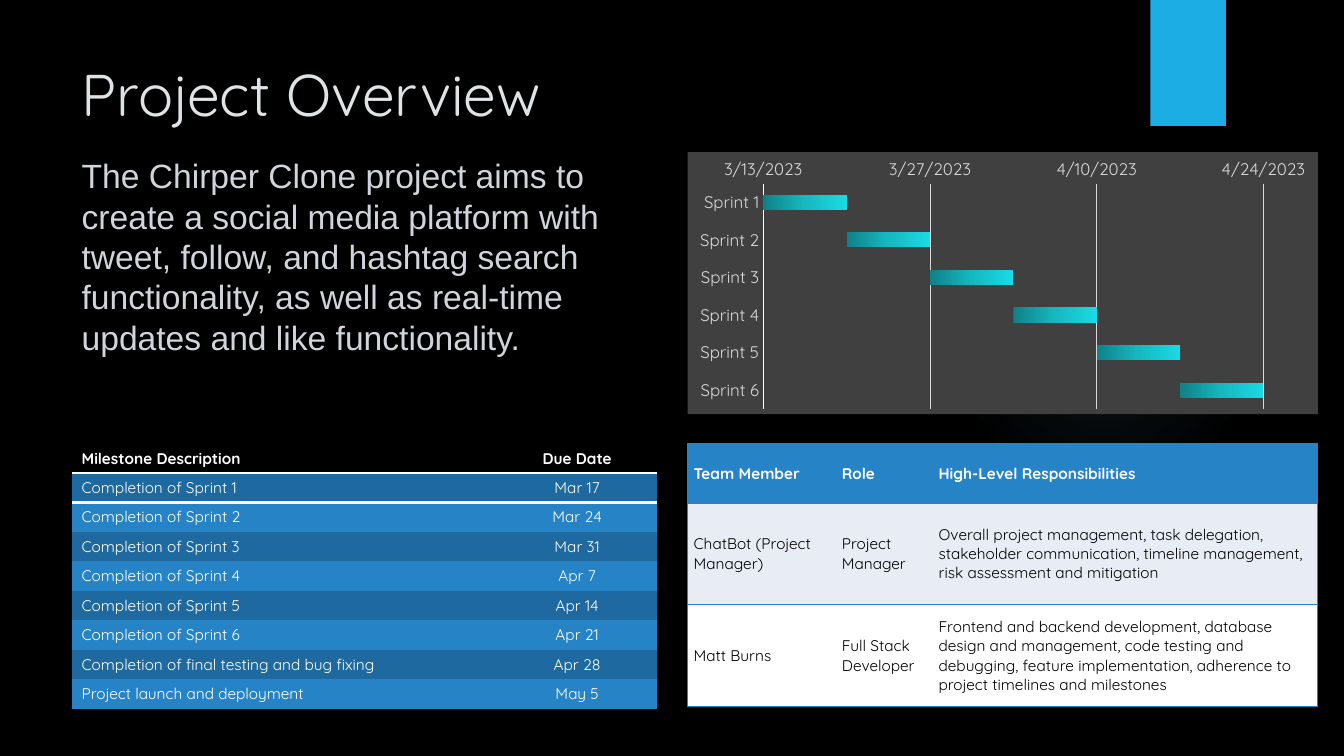
"""Build the project overview slide: goal, sprint timeline, milestones and team."""
import lxml.etree
import pptx
import pptx.chart.data
import pptx.dml.color
import pptx.enum.chart
import pptx.enum.shapes
import pptx.enum.text
import pptx.oxml
import pptx.oxml.ns
import pptx.util

COLORS = {
    name: pptx.dml.color.RGBColor.from_string(value)
    for name, value in {
        "black": "000000", "white": "FFFFFF", "title": "DFE3E5", "body": "D1D5DB",
        "accent": "1CADE4", "glow": "70A1C0", "panel": "404040", "axis": "D9D9D9",
        "blue": "2683C6", "deep blue": "1E699F", "pale blue": "E8EDF5",
        "bar start": "0F8187", "bar middle": "16B8C0", "bar end": "1ADAE4",
    }.items()
}
FONT = "Quicksand"
NO_GRID_STYLE = "{2D5ABB26-0587-4C30-8999-92F81FD0307C}"
GRID = pptx.util.Inches(0.1)
LEFT, LEFT_WIDTH = 7.1 * GRID, 58.1 * GRID
RIGHT, RIGHT_WIDTH = 68.2 * GRID, 62.5 * GRID
TABLE_TOP, TABLE_HEIGHT = 44 * GRID, 26.1 * GRID


def set_gradient(properties, stops, direction):
    """Replace the empty fill with a gradient of (position, color, opacity) stops."""
    stop_xml = "".join(
        f'<a:gs pos="{position * 1000}"><a:srgbClr val="{COLORS[color]}">'
        f'<a:alpha val="{opacity * 1000}"/></a:srgbClr></a:gs>'
        for position, color, opacity in stops
    )
    gradient = pptx.oxml.parse_xml(
        f'<a:gradFill {pptx.oxml.ns.nsdecls("a")} rotWithShape="1">'
        f"<a:gsLst>{stop_xml}</a:gsLst>{direction}</a:gradFill>"
    )
    empty = properties.find(pptx.oxml.ns.qn("a:noFill"))
    properties.replace(empty, gradient)


def add_grid_table(rows, left, widths, heights, fills, inks, borders, margins, centred):
    """Add a table; borders maps a row to its (sides, color, points)."""
    table = slide.shapes.add_table(
        len(rows), len(widths), round(left), round(TABLE_TOP),
        round(sum(widths)), round(sum(heights)),
    ).table
    table._tbl.tblPr.find(pptx.oxml.ns.qn("a:tableStyleId")).text = NO_GRID_STYLE
    for column, width in zip(table.columns, widths):
        column.width = round(width)
    for r, (texts, height) in enumerate(zip(rows, heights)):
        table.rows[r].height = round(height)
        for c, text in enumerate(texts):
            cell = table.cell(r, c)
            cell.margin_left = cell.margin_right = pptx.util.Inches(margins[0])
            cell.margin_top = cell.margin_bottom = pptx.util.Inches(margins[1])
            cell.vertical_anchor = pptx.enum.text.MSO_ANCHOR.MIDDLE
            sides, color, points = borders.get(r, ("", "white", 0))
            for side in sides:
                if (side == "L" and c > 0) or (side == "R" and c < len(widths) - 1):
                    continue
                cell._tc.get_or_add_tcPr().append(pptx.oxml.parse_xml(
                    f'<a:ln{side} {pptx.oxml.ns.nsdecls("a")} w="{pptx.util.Pt(points)}">'
                    f'<a:solidFill><a:srgbClr val="{COLORS[color]}"/></a:solidFill></a:ln{side}>'
                ))
            cell.fill.solid()
            cell.fill.fore_color.rgb = COLORS[fills[r]]
            cell.text_frame.text = text
            paragraph = cell.text_frame.paragraphs[0]
            if c in centred:
                paragraph.alignment = pptx.enum.text.PP_ALIGN.CENTER
            font = paragraph.runs[0].font
            font.name, font.size, font.bold = FONT, pptx.util.Pt(11), r == 0
            font.color.rgb = COLORS[inks[r]]
    return table


deck = pptx.Presentation()
deck.slide_width, deck.slide_height = pptx.util.Inches(13.33), pptx.util.Inches(7.5)
slide = deck.slides.add_slide(deck.slide_layouts[1])
slide.background.fill.solid()
slide.background.fill.fore_color.rgb = COLORS["black"]

glow = slide.shapes.add_shape(
    pptx.enum.shapes.MSO_SHAPE.OVAL,
    round(94.1 * GRID), round(18.3 * GRID), round(30.8 * GRID), round(30.8 * GRID),
)
glow.fill.background()
set_gradient(
    glow._element.spPr, [(0, "glow", 7), (36, "glow", 6), (69, "glow", 0)],
    '<a:path path="circle"><a:fillToRect l="50000" t="50000" r="50000" b="50000"/></a:path>',
)
ribbon = slide.shapes.add_shape(
    pptx.enum.shapes.MSO_SHAPE.RECTANGLE,
    round(114.1 * GRID), 0, round(7.5 * GRID), round(12.5 * GRID),
)
ribbon.fill.solid()
ribbon.fill.fore_color.rgb = COLORS["accent"]
for decoration in (glow, ribbon):
    decoration.line.fill.background()
    decoration.shadow.inherit = False

goal = (
    "The Chirper Clone project aims to create a social media platform with tweet, follow, "
    "and hashtag search functionality, as well as real-time updates and like functionality."
)
for placeholder, text, top, width, height, face, size, color, anchor in (
    (slide.shapes.title, "Project Overview", 5, 102.9 * GRID, 8.5, FONT, 42, "title", "MIDDLE"),
    (slide.placeholders[1], goal, 14.9, LEFT_WIDTH, 26.1, "Arial", 24, "body", "TOP"),
):
    placeholder.left, placeholder.top = round(LEFT), round(top * GRID)
    placeholder.width, placeholder.height = round(width), round(height * GRID)
    frame = placeholder.text_frame
    frame.text = text
    frame.word_wrap = True
    frame.auto_size = pptx.enum.text.MSO_AUTO_SIZE.NONE
    frame.vertical_anchor = pptx.enum.text.MSO_ANCHOR[anchor]
    paragraph = frame.paragraphs[0]
    paragraph.alignment = pptx.enum.text.PP_ALIGN.LEFT
    font = paragraph.runs[0].font
    font.name, font.size = face, pptx.util.Pt(size)
    font.color.rgb = COLORS[color]

goal_paragraph = slide.placeholders[1].text_frame.paragraphs[0]
goal_paragraph.space_before = pptx.util.Pt(10)
goal_paragraph.line_spacing = pptx.util.Pt(28.8)
goal_properties = goal_paragraph._p.get_or_add_pPr()
goal_properties.set("marL", "0")
goal_properties.set("indent", "0")
lxml.etree.SubElement(goal_properties, pptx.oxml.ns.qn("a:buNone"))

first_day, sprint_days, sprint_count = 44998, 7, 6
timeline = pptx.chart.data.CategoryChartData()
timeline.categories = [f"Sprint {n + 1}" for n in range(sprint_count)]
timeline.add_series("Series 1", [first_day + sprint_days * n for n in range(sprint_count)])
timeline.add_series("Series 2", [sprint_days] * sprint_count)
gantt = slide.shapes.add_chart(
    pptx.enum.chart.XL_CHART_TYPE.BAR_STACKED,
    round(RIGHT), round(15.1 * GRID), round(RIGHT_WIDTH), round(26 * GRID), timeline,
).chart
gantt.has_legend = gantt.has_title = False
gantt.font.name, gantt.font.size = FONT, pptx.util.Pt(10)
gantt.font.color.rgb = COLORS["white"]
plot = gantt.plots[0]
plot.gap_width, plot.overlap, plot.vary_by_categories = 150, 100, False
starts, sprints = plot.series
starts.format.fill.background()
sprints.format.fill.background()
set_gradient(
    sprints._element.spPr,
    [(0, "bar start", 100), (50, "bar middle", 100), (100, "bar end", 100)],
    '<a:lin ang="0" scaled="0"/>',
)
dates = gantt.value_axis
for axis in (gantt.category_axis, dates):
    axis.major_tick_mark = axis.minor_tick_mark = pptx.enum.chart.XL_TICK_MARK.NONE
    axis.tick_labels.font.name = FONT
    axis.tick_labels.font.size = pptx.util.Pt(12)
    axis.tick_labels.font.color.rgb = COLORS["axis"]
gantt.category_axis.reverse_order = True
dates.minimum_scale, dates.maximum_scale = first_day, first_day + sprint_days * sprint_count
dates.major_unit = 2 * sprint_days
dates.tick_labels.number_format = "m/d/yyyy"
dates.tick_labels.number_format_is_linked = False
dates.format.line.fill.background()
for line, color in (
    (gantt.category_axis.format.line, "white"),
    (dates.major_gridlines.format.line, "axis"),
):
    line.color.rgb = COLORS[color]
    line.width = pptx.util.Pt(0.75)

chart_root = gantt._chartSpace
chart_root.chart.addnext(pptx.oxml.parse_xml(
    f'<c:spPr {pptx.oxml.ns.nsdecls("c", "a")}><a:solidFill><a:srgbClr val="{COLORS["panel"]}"/>'
    "</a:solidFill><a:ln><a:noFill/></a:ln></c:spPr>"
))
plot_area = chart_root.chart.plotArea
for old_layout in plot_area.findall(pptx.oxml.ns.qn("c:layout")):
    plot_area.remove(old_layout)
plot_area.insert(0, pptx.oxml.parse_xml(
    f'<c:layout {pptx.oxml.ns.nsdecls("c")}><c:manualLayout><c:layoutTarget val="inner"/>'
    '<c:xMode val="edge"/><c:yMode val="edge"/><c:x val="0.12"/><c:y val="0.12"/>'
    '<c:w val="0.794"/><c:h val="0.86"/></c:manualLayout></c:layout>'
))

due_dates = ["Mar 17", "Mar 24", "Mar 31", "Apr 7", "Apr 14", "Apr 21", "Apr 28", "May 5"]
goals = [f"Sprint {n + 1}" for n in range(sprint_count)] + ["final testing and bug fixing"]
achievements = [f"Completion of {name}" for name in goals] + ["Project launch and deployment"]
milestones = [("Milestone Description", "Due Date"), *zip(achievements, due_dates)]
milestone_table = add_grid_table(
    milestones, LEFT, [42.2 * GRID, 15.9 * GRID], [TABLE_HEIGHT / 9] * 9,
    ["black"] + ["deep blue", "blue"] * 4, ["white"] * 9,
    {0: ("B", "white", 2), 1: ("T", "white", 2)}, (0.1, 0.05), {1},
)
for heading in milestone_table.rows[0].cells:
    heading.vertical_anchor = pptx.enum.text.MSO_ANCHOR.BOTTOM

team = [
    ("Team Member", "Role", "High-Level Responsibilities"),
    ("ChatBot (Project Manager)", "Project Manager",
     "Overall project management, task delegation, stakeholder communication, "
     "timeline management, risk assessment and mitigation"),
    ("Matt Burns", "Full Stack Developer",
     "Frontend and backend development, database design and management, code testing and "
     "debugging, feature implementation, adherence to project timelines and milestones"),
]
add_grid_table(
    team, RIGHT, [14.7 * GRID, 9.6 * GRID, 38.2 * GRID], [5.9 * GRID, 10.1 * GRID, 10.1 * GRID],
    ["blue", "pale blue", "white"], ["white", "black", "black"],
    {row: ("LRTB", "blue", 1) for row in range(3)}, (0.06, 0.03), set(),
)
deck.save("out.pptx")
